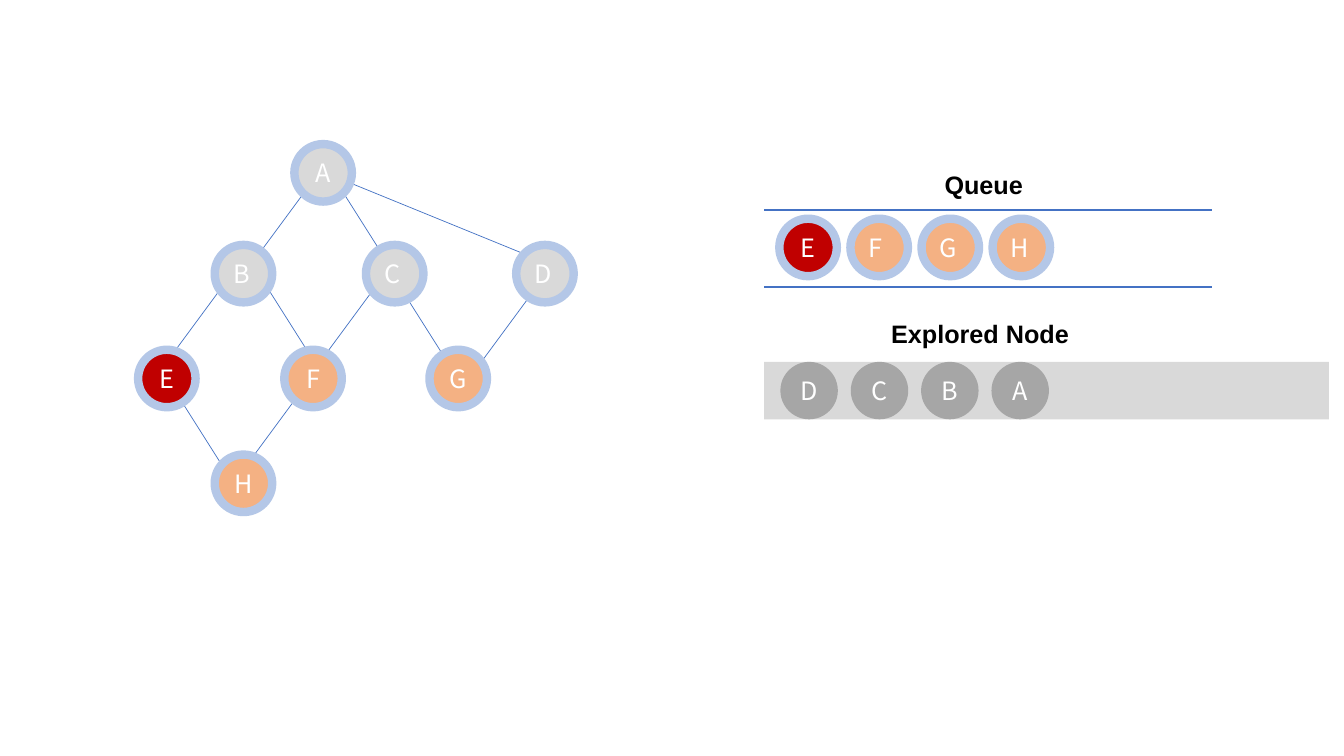
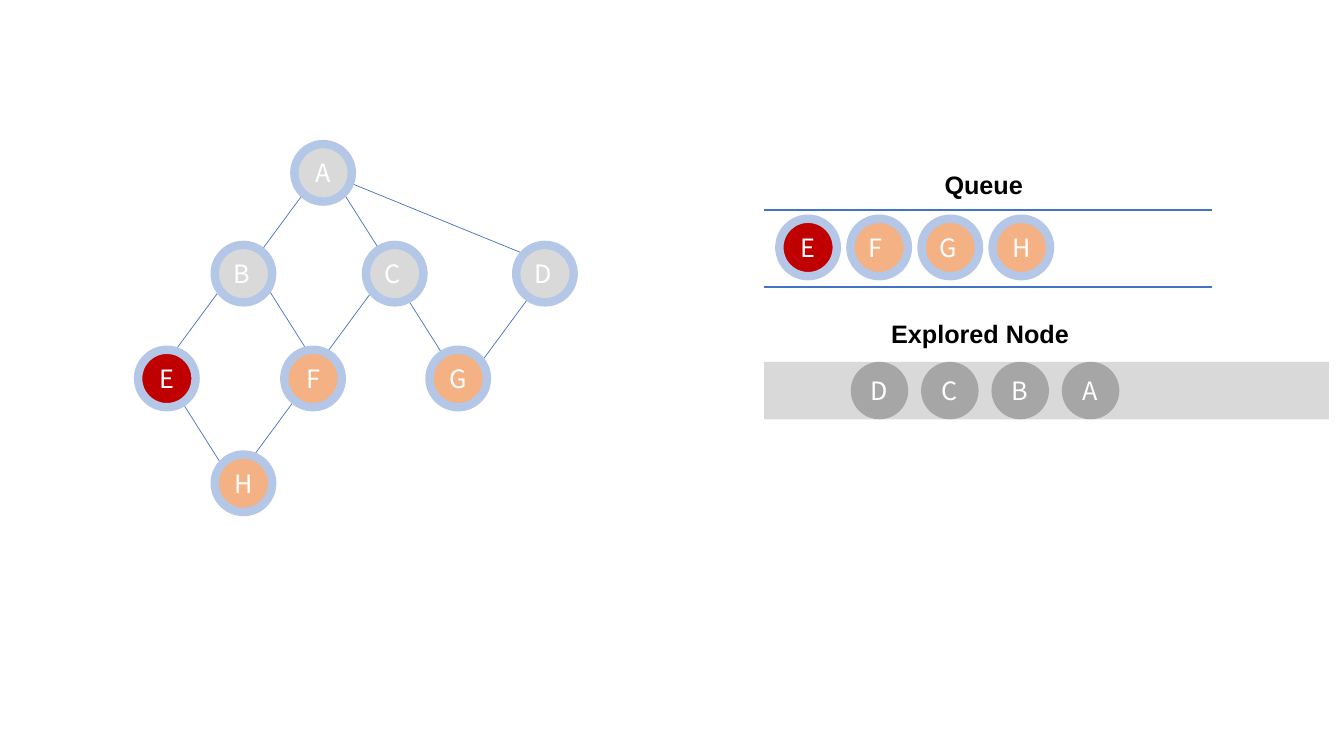
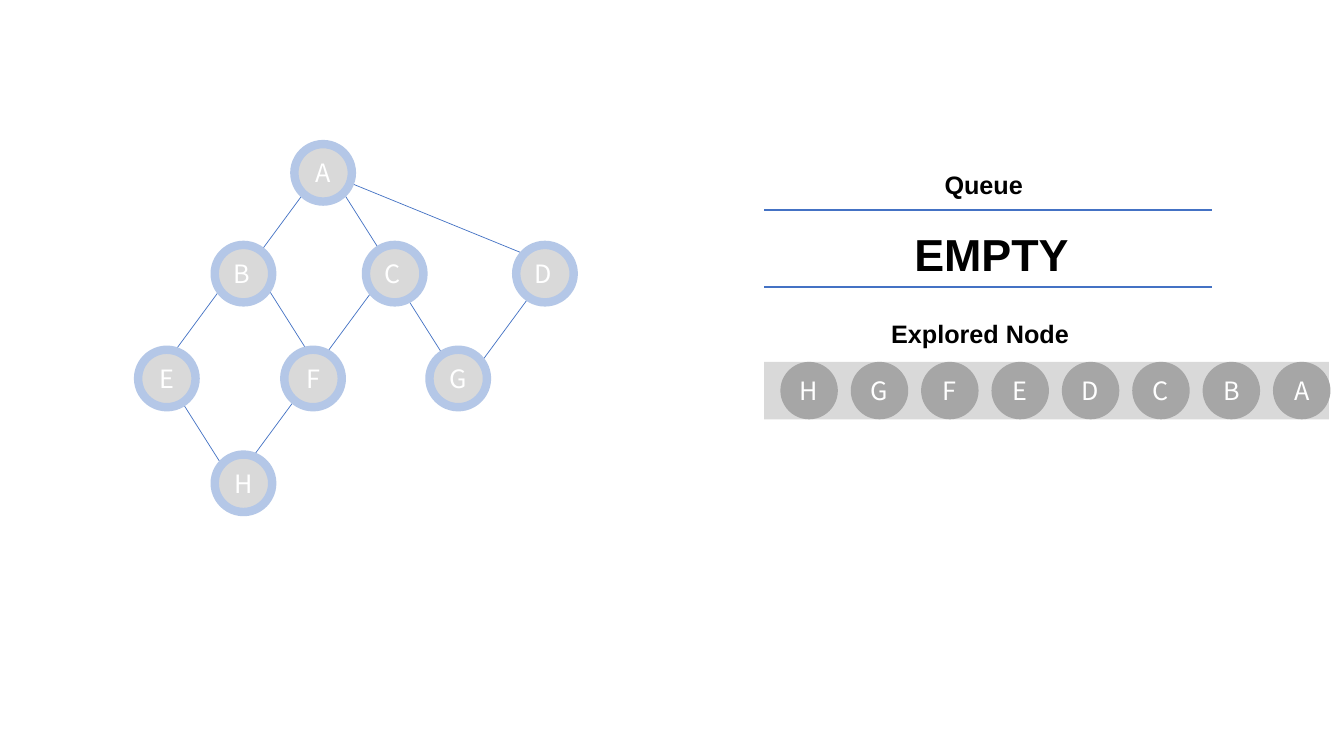
from lxml.etree import SubElement
from pptx import Presentation
from pptx.dml.color import RGBColor
from pptx.enum.shapes import MSO_CONNECTOR, MSO_SHAPE
from pptx.enum.text import MSO_ANCHOR, MSO_AUTO_SIZE, PP_ALIGN
from pptx.oxml.ns import qn
from pptx.util import Inches, Pt

WHITE, BLACK = "FFFFFF", "000000"
BLUE, RING = "4472C4", "B4C7E7"
VISITED, BAND, DONE = "D9D9D9", "D9D9D9", "A6A6A6"
CURRENT, WAITING = "C00000", "F4B183"

NODES = {
    "A": (29.2, 14.3), "B": (21.3, 24.3), "C": (36.3, 24.3), "D": (51.2, 24.3),
    "E": (13.7, 34.7), "F": (28.2, 34.7), "G": (42.6, 34.7), "H": (21.3, 45.1),
}
RISING_RIGHT = [(24.2, 27.2), (16.4, 36.1), (31.3, 36.5), (24.5, 46.1), (47.3, 36.5)]
RISING_LEFT = [(39.1, 27.1), (31.3, 36.1), (45.2, 37.2), (22.3, 46.6)]
EDGES = (
    [(x, y, x + 5.9, y - 8) for x, y in RISING_RIGHT]
    + [(x, y, x - 5, y - 7.9) for x, y in RISING_LEFT]
    + [(35.1, 18.3, 52, 25.2)]
)
SEARCH_COLORS = {"E": CURRENT, "F": WAITING, "G": WAITING, "H": WAITING}
STEPS = [
    {"queue": "EFGH", "justified": "FGH", "explored": "DCBA", "first": 0, "colors": SEARCH_COLORS},
    {"queue": "EFGH", "justified": "FG", "explored": "DCBA", "first": 1, "colors": SEARCH_COLORS},
    {"queue": "", "justified": "", "explored": "HGFEDCBA", "first": 0, "colors": {}},
]


def rgb(value):
    """Turn a hex string into a colour."""
    return RGBColor.from_string(value)


class Deck:
    """Hold the style and the current slide on a grid of tenths of an inch."""

    cell = Inches(0.1)
    node_size = 5.7
    node_font, label_font = "Noto Sans CJK SC", "Arial"

    def __init__(self):
        """Start an empty widescreen deck."""
        self.prs = Presentation()
        self.prs.slide_width, self.prs.slide_height = Inches(13.33), Inches(7.5)

    def grid(self, *values):
        """Turn grid positions into lengths."""
        return [round(v * self.cell) for v in values]

    def new_slide(self):
        """Add a blank slide and make it current."""
        self.s = self.prs.slides.add_slide(self.prs.slide_layouts[6])

    def shape(self, kind, box, fill, parent=None):
        """Draw a filled shape without outline or shadow."""
        sp = (parent or self.s).shapes.add_shape(kind, *self.grid(*box))
        sp.shadow.inherit = False
        sp.fill.solid()
        sp.fill.fore_color.rgb = rgb(fill)
        sp.line.fill.background()
        return sp

    def line(self, ends, width, parent=None):
        """Draw a straight blue line."""
        cxn = (parent or self.s).shapes.add_connector(MSO_CONNECTOR.STRAIGHT, *self.grid(*ends))
        cxn.line.color.rgb = rgb(BLUE)
        cxn.line.width = Pt(width)
        SubElement(cxn._element.spPr, qn("a:effectLst"))

    def set_text(self, sp, text, font, size, color, bold=False):
        """Set one styled paragraph in a shape and return it."""
        tf = sp.text_frame
        tf.word_wrap = True
        tf.text = text
        p = tf.paragraphs[0]
        r = p.runs[0]
        r.font.name, r.font.size, r.font.bold = font, Pt(size), bold
        r.font.color.rgb = rgb(color)
        return p

    def label(self, box, text, size=18):
        """Add a bold black label."""
        sp = self.s.shapes.add_textbox(*self.grid(*box))
        self.set_text(sp, text, self.label_font, size, BLACK, True)
        sp.text_frame.auto_size = MSO_AUTO_SIZE.SHAPE_TO_FIT_TEXT

    def node(self, x, y, name, fill, ring=True, justified=False, parent=None):
        """Draw a lettered circle with an optional ring."""
        sp = self.shape(MSO_SHAPE.OVAL, (x, y, self.node_size, self.node_size), fill, parent)
        if ring:
            sp.line.color.rgb = rgb(RING)
            sp.line.width = Pt(6)
        p = self.set_text(sp, name, self.node_font, 18, WHITE)
        p.alignment = PP_ALIGN.JUSTIFY if justified else PP_ALIGN.CENTER
        sp.text_frame.vertical_anchor = MSO_ANCHOR.TOP if justified else MSO_ANCHOR.MIDDLE

    def graph(self, colors):
        """Draw the grouped graph, its nodes coloured by state."""
        group = self.s.shapes.add_group_shape()
        for ends in EDGES:
            self.line(ends, 0.5, group)
        for name, (x, y) in NODES.items():
            self.node(x, y, name, colors.get(name, VISITED), justified=name in "BCD", parent=group)

    def queue(self, names, justified, colors):
        """Draw the queue between its two rails."""
        self.label((92.7, 16.3, 29.7, 4), "Queue")
        for y in (20.8, 28.5):
            self.line((75.8, y, 120.2, y), 1.5)
        for i, name in enumerate(names):
            self.node(77.3 + 7.05 * i, 21.7, name, colors[name], justified=name in justified)
        if not names:
            self.label((89.7, 22, 29.7, 6.4), "EMPTY", 32)

    def explored(self, names, first):
        """Draw the explored nodes on their band from a given slot."""
        self.label((87.4, 31.1, 29.7, 4), "Explored Node")
        self.shape(MSO_SHAPE.RECTANGLE, (75.8, 35.9, 56, 5.7), BAND)
        for i, name in enumerate(names, first):
            self.node(77.4 + 6.98 * i, 35.9, name, DONE, ring=False)


def main():
    """Build one slide for each search step."""
    deck = Deck()
    for step in STEPS:
        deck.new_slide()
        deck.graph(step["colors"])
        deck.queue(step["queue"], step["justified"], step["colors"])
        deck.explored(step["explored"], step["first"])
    deck.prs.save("out.pptx")


if __name__ == "__main__":
    main()
